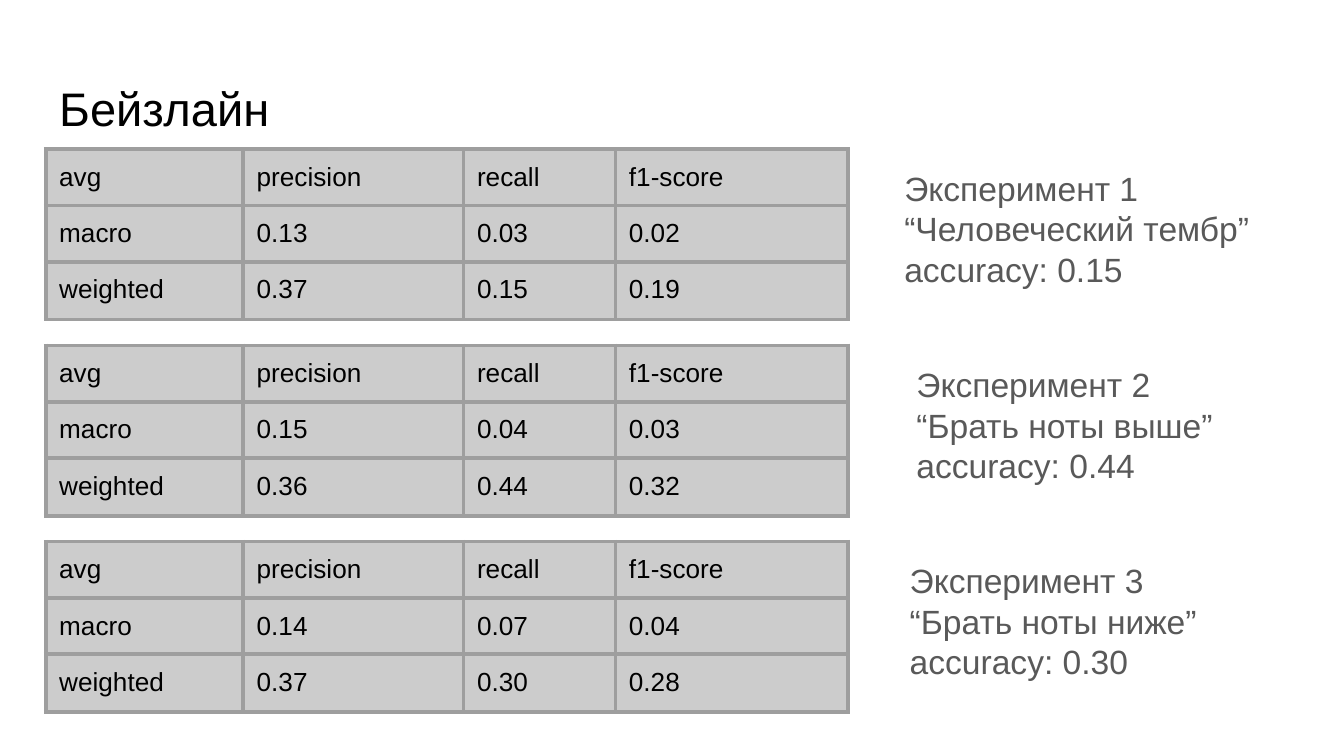
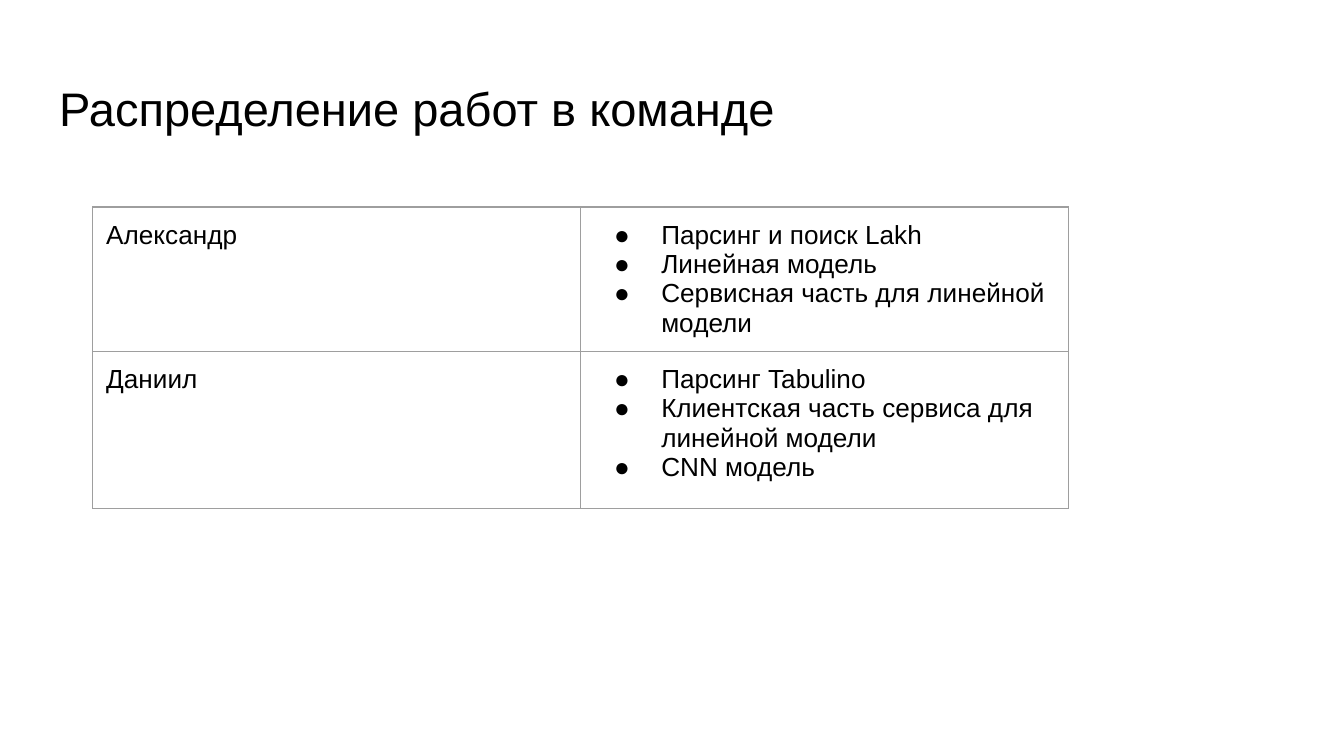
from lxml import etree
from pptx import Presentation
from pptx import util as u
from pptx.dml.color import RGBColor
from pptx.enum import text
from pptx.oxml import ns

FONT = "Arial"
BLACK = RGBColor(0x00, 0x00, 0x00)
GRAY = RGBColor(0x59, 0x59, 0x59)
BORDER = RGBColor(0x9E, 0x9E, 0x9E)
CELL = RGBColor(0xCC, 0xCC, 0xCC)
PAD = u.Inches(0.1)

METRICS = ["avg", "precision", "recall", "f1-score"]
EXPERIMENTS = [
    ("Эксперимент 1", "“Человеческий тембр”", "accuracy: 0.15", 6.63,
     ["0.13", "0.03", "0.02"], ["0.37", "0.15", "0.19"]),
    ("Эксперимент 2", "“Брать ноты выше”", "accuracy: 0.44", 6.72,
     ["0.15", "0.04", "0.03"], ["0.36", "0.44", "0.32"]),
    ("Эксперимент 3", "“Брать ноты ниже”", "accuracy: 0.30", 6.67,
     ["0.14", "0.07", "0.04"], ["0.37", "0.30", "0.28"]),
]
TEAM = [
    ("Александр", ["Парсинг и поиск Lakh", "Линейная модель",
                   "Сервисная часть для линейной модели"]),
    ("Даниил", ["Парсинг Tabulino", "Клиентская часть сервиса для линейной модели",
                "CNN модель"]),
]


def add_bullet(p):
    """Give a paragraph a hanging round bullet."""
    pPr = p._p.get_or_add_pPr()
    pPr.set("marL", str(u.Inches(0.5)))
    pPr.set("indent", str(-u.Inches(0.35)))
    color = etree.SubElement(pPr, ns.qn("a:buClr"))
    etree.SubElement(color, ns.qn("a:srgbClr"), val=str(BLACK))
    etree.SubElement(pPr, ns.qn("a:buFont"), typeface=FONT)
    etree.SubElement(pPr, ns.qn("a:buChar"), char="●")


def write(tf, lines, size, color, bulleted=False):
    """Write one left-aligned paragraph per line."""
    for i, line in enumerate(lines):
        p = tf.add_paragraph() if i else tf.paragraphs[0]
        if bulleted:
            add_bullet(p)
        p.alignment = text.PP_ALIGN.LEFT
        r = p.add_run()
        r.text = line
        r.font.name = FONT
        r.font.size = u.Pt(size)
        r.font.color.rgb = color


def set_frame(tf):
    """Set wrapping, anchor and insets of a text frame."""
    tf.word_wrap = True
    tf.auto_size = text.MSO_AUTO_SIZE.NONE
    tf.vertical_anchor = text.MSO_ANCHOR.TOP
    tf.margin_left = tf.margin_right = tf.margin_top = tf.margin_bottom = PAD


def set_borders(cell, width):
    """Draw the four borders of a table cell."""
    tcPr = cell._tc.get_or_add_tcPr()
    for side in ("lnL", "lnR", "lnT", "lnB"):
        ln = etree.SubElement(tcPr, ns.qn("a:" + side), w=str(u.Pt(width)))
        fill = etree.SubElement(ln, ns.qn("a:solidFill"))
        etree.SubElement(fill, ns.qn("a:srgbClr"), val=str(BORDER))


def add_grid(slide, left, top, widths, heights, rows, border, fill=None):
    """Add a bordered table; a list as cell content becomes bullets."""
    frame = slide.shapes.add_table(
        len(heights), len(widths), u.Inches(left), u.Inches(top),
        u.Inches(sum(widths)), u.Inches(sum(heights)))
    table = frame.table
    table.first_row = table.horz_banding = False
    for column, width in zip(table.columns, widths):
        column.width = u.Inches(width)
    for row, height, contents in zip(table.rows, heights, rows):
        row.height = u.Inches(height)
        for cell, content in zip(row.cells, contents):
            set_borders(cell, border)
            if fill is None:
                cell.fill.background()
            else:
                cell.fill.solid()
                cell.fill.fore_color.rgb = fill
            cell.margin_left = cell.margin_right = PAD
            cell.margin_top = cell.margin_bottom = PAD
            bulleted = isinstance(content, list)
            write(cell.text_frame, content if bulleted else [content], 14, BLACK, bulleted)


def add_titled_slide(prs, title):
    """Add a slide with the shared title style."""
    slide = prs.slides.add_slide(prs.slide_layouts[5])
    sp = slide.shapes.title
    sp.left, sp.top = u.Inches(0.34), u.Inches(0.49)
    sp.width, sp.height = u.Inches(9.32), u.Inches(0.63)
    set_frame(sp.text_frame)
    write(sp.text_frame, [title], 25.2, BLACK)
    return slide


def add_experiment(slide, top, name, subject, accuracy, label_left, macro, weighted):
    """Add one table of scores and the label beside it."""
    rows = [METRICS, ["macro", *macro], ["weighted", *weighted]]
    add_grid(slide, 0.34, top, [1.47, 1.64, 1.13, 1.73], [0.28, 0.28, 0.43],
             rows, 2.25, CELL)
    sp = slide.shapes.add_textbox(u.Inches(label_left), u.Inches(top + 0.04),
                                  u.Inches(3.08), u.Inches(1.23))
    set_frame(sp.text_frame)
    write(sp.text_frame, [name, subject, accuracy], 18, GRAY)


def add_baseline(prs):
    """Build the slide of baseline scores."""
    slide = add_titled_slide(prs, "Бейзлайн")
    for i, experiment in enumerate(EXPERIMENTS):
        add_experiment(slide, 1.11 + 1.46 * i, *experiment)


def add_team(prs):
    """Build the slide of team duties."""
    slide = add_titled_slide(prs, "Распределение работ в команде")
    add_grid(slide, 0.69, 1.54, [3.63, 3.63], [0.98, 1.17], TEAM, 0.75)


def main():
    """Build and save the presentation."""
    prs = Presentation()
    prs.slide_width = u.Inches(10)
    prs.slide_height = prs.slide_width * 9 // 16
    add_baseline(prs)
    add_team(prs)
    prs.save("out.pptx")


if __name__ == "__main__":
    main()
